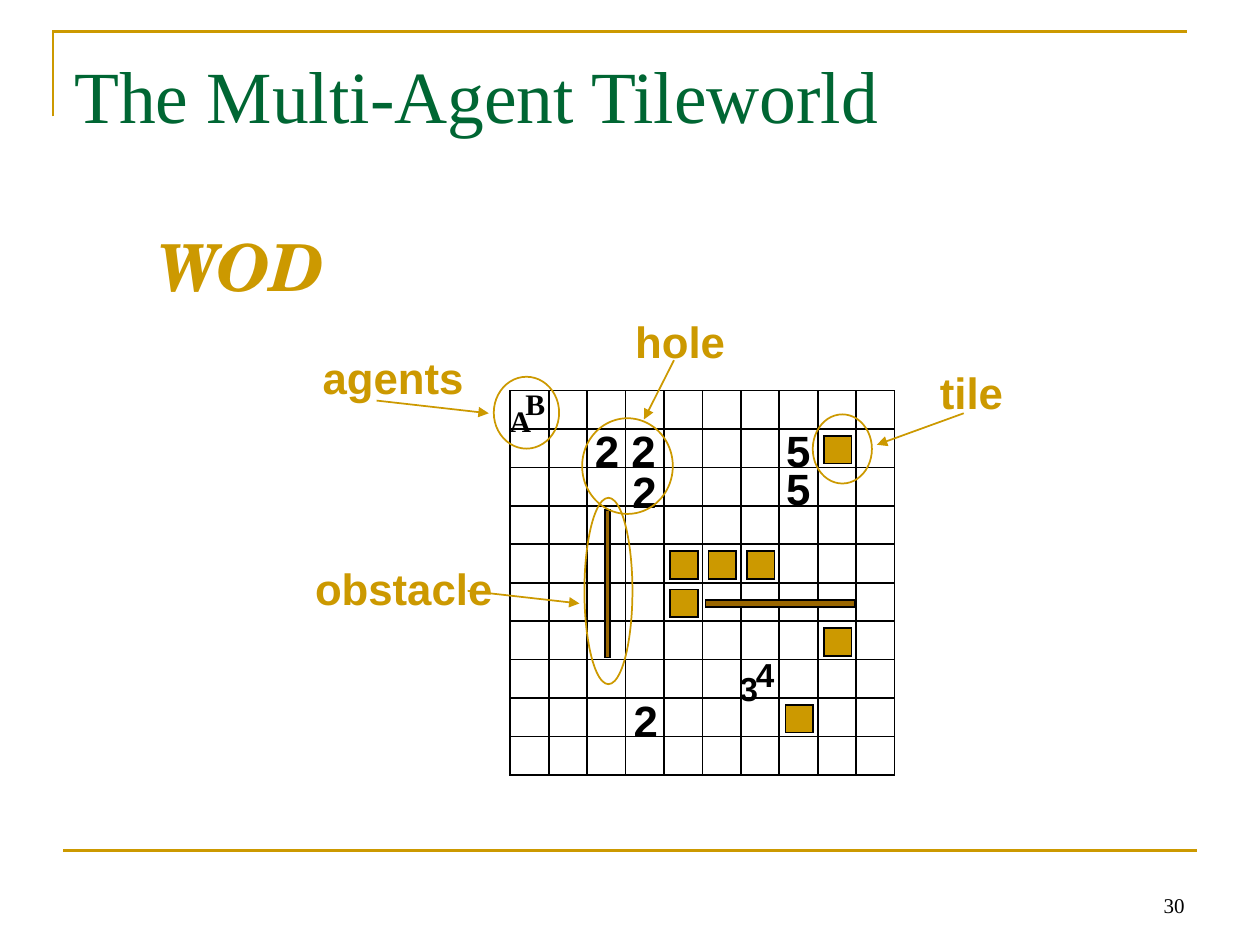
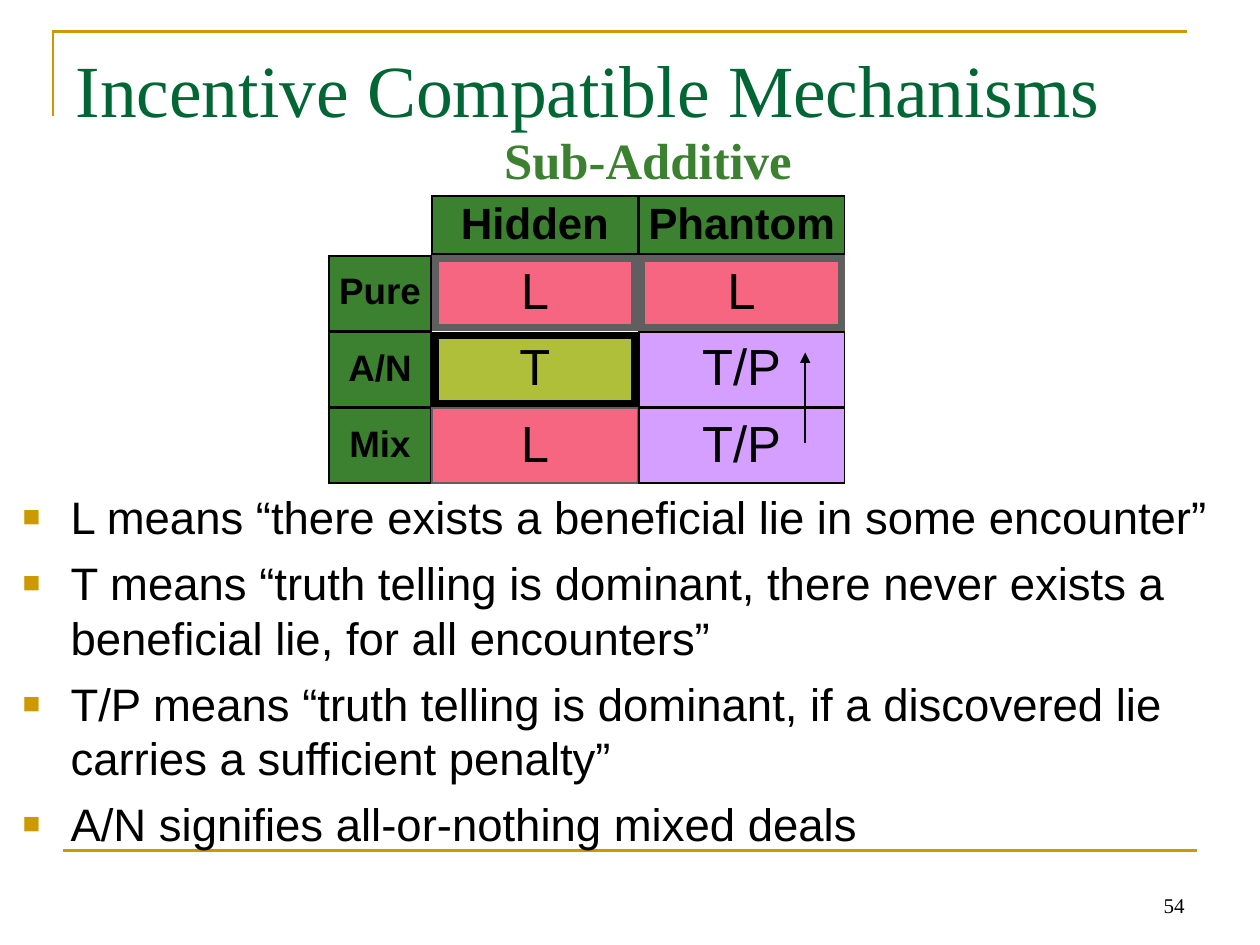
from dataclasses import dataclass

from lxml.etree import SubElement
from pptx import Presentation
from pptx.dml.color import RGBColor
from pptx.enum.shapes import MSO_CONNECTOR, MSO_SHAPE as Preset
from pptx.enum.text import MSO_ANCHOR as Anchor, MSO_AUTO_SIZE as AutoSize, PP_ALIGN as Align
from pptx.oxml.ns import qn
from pptx.util import Inches, Pt

GOLD = RGBColor(0xCC, 0x99, 0x00)
BROWN = RGBColor(0x99, 0x66, 0x00)
DARK_GREEN = RGBColor(0x00, 0x66, 0x33)
GREEN = RGBColor(0x3B, 0x81, 0x2F)
PINK = RGBColor(0xF7, 0x66, 0x81)
OLIVE = RGBColor(0xAF, 0xBF, 0x39)
LILAC = RGBColor(0xD4, 0x9F, 0xFF)
GRAY = RGBColor(0x5F, 0x5F, 0x5F)
BLACK = RGBColor(0x00, 0x00, 0x00)

SERIF, SANS, SCHOOL = "Times New Roman", "Arial", "TeX Gyre Schola"
WIDE, NARROW = (0.1, 0.05), (0.07, 0.03)


@dataclass
class Grid:
    """A box measured in columns and rows, sized in inches."""
    left: float
    top: float
    column: float
    row: float

    def point(self, x, y):
        return Inches(self.left + x * self.column), Inches(self.top + y * self.row)

    def area(self, x, y, width, height):
        return (*self.point(x, y), Inches(width * self.column), Inches(height * self.row))


PAGE = Grid(0, 0, 10, 7.5)  # one column and one row: shares of the slide
BOARD = Grid(4.05, 3.1, 0.305, 0.305)
MATRIX = Grid(2.61, 2.03, 0.82, 0.605)
BOARD_CELLS = 10


# Shared helpers
def style_frame(frame, margins, anchor=Anchor.TOP, wrap=True, fit=AutoSize.NONE):
    frame.margin_left = frame.margin_right = Inches(margins[0])
    frame.margin_top = frame.margin_bottom = Inches(margins[1])
    frame.vertical_anchor, frame.word_wrap, frame.auto_size = anchor, wrap, fit


def style_text(para, size, font, color, bold=False, italic=False, align=Align.LEFT):
    para.alignment = align
    for span in para.runs:
        span.font.size, span.font.name = Pt(size), font
        span.font.bold, span.font.italic = bold, italic
        span.font.color.rgb = color


def set_right_to_left(para):
    """Right-to-left paragraphs draw their digits in the complex-script font."""
    para._p.get_or_add_pPr().set("rtl", "1")
    for span in para.runs:
        SubElement(span.font._element, qn("a:cs")).set("typeface", SANS)


def add_label(page, area, text, size, font, color, spacing=None, margins=NARROW, italic=False):
    box = page.shapes.add_textbox(*area)
    style_frame(box.text_frame, margins, wrap=False, fit=AutoSize.SHAPE_TO_FIT_TEXT)
    box.text_frame.text = text
    para = box.text_frame.paragraphs[0]
    style_text(para, size, font, color, bold=True, italic=italic)
    if spacing:
        para.line_spacing = spacing
    set_right_to_left(para)


def style_shape(shape, fill, line, width):
    shape.shadow.inherit = False
    if fill is None:
        shape.fill.background()
    else:
        shape.fill.solid()
        shape.fill.fore_color.rgb = fill
    shape.line.color.rgb, shape.line.width = line, Pt(width)
    # Square corners on the outline
    outline = shape._element.spPr.find(qn("a:ln"))
    SubElement(outline, qn("a:miter")).set("lim", "800000")
    return shape


def add_preset(page, preset, area, fill=None, line=BLACK, width=1):
    return style_shape(page.shapes.add_shape(preset, *area), fill, line, width)


def add_line(page, start, end, color=BLACK, width=1, arrow=False):
    line = page.shapes.add_connector(MSO_CONNECTOR.STRAIGHT, *start, *end)
    line.line.color.rgb, line.line.width = color, Pt(width)
    properties = line._element.spPr
    if arrow:
        SubElement(properties.find(qn("a:ln")), qn("a:tailEnd")).set("type", "triangle")
    SubElement(properties, qn("a:effectLst"))
    return line


# Parts every slide shares
def add_master_frame(deck, page):
    """Draw the corner and the footer rule, then hand them to the master."""
    builder = page.shapes.build_freeform(*PAGE.point(0.042, 0.123), scale=1.0)
    builder.add_line_segments(
        [PAGE.point(0.042, 0.033), PAGE.point(0.942, 0.033)], close=False)
    corner = style_shape(builder.convert_to_shape(), None, GOLD, 1.5)
    rule = add_line(page, PAGE.point(0.05, 0.9), PAGE.point(0.95, 0.9), GOLD, 1.5)
    for part in (corner, rule):
        deck.slide_master.shapes.element.append(part._element)


def place(placeholder, area):
    placeholder.left, placeholder.top, placeholder.width, placeholder.height = area


def add_title(page, text, area, margins, anchor):
    title = page.shapes.title
    place(title, area)
    title.text_frame.text = text
    style_frame(title.text_frame, margins, anchor)
    style_text(title.text_frame.paragraphs[0], 42, SERIF, DARK_GREEN)


def add_page_number(page, number):
    box = page.shapes.add_textbox(*PAGE.area(0.717, 0.911, 0.233, 0.067))
    style_frame(box.text_frame, WIDE, Anchor.BOTTOM)
    box.text_frame.text = str(number)
    style_text(box.text_frame.paragraphs[0], 12, SERIF, BLACK, align=Align.RIGHT)


# Tileworld slide
def add_board(page, grid):
    add_preset(page, Preset.RECTANGLE, grid.area(0, 0, BOARD_CELLS, BOARD_CELLS))
    for step in range(1, BOARD_CELLS):
        add_line(page, grid.point(0, step), grid.point(BOARD_CELLS, step))
        add_line(page, grid.point(step, 0), grid.point(step, BOARD_CELLS))

    # Tiles, by column and row, then obstacles
    for column, row in [(4, 5), (4, 4), (5, 4), (6, 4), (7, 8), (8, 6), (8, 1)]:
        area = grid.area(column + 0.16, row + 0.18, 0.72, 0.72)
        add_preset(page, Preset.RECTANGLE, area, GOLD)
    for area in [(5.08, 5.44, 3.9, 0.2), (2.46, 3.11, 0.13, 3.84)]:
        add_preset(page, Preset.RECTANGLE, grid.area(*area), BROWN)

    # Hole depths, then small marks sharing a cell
    for text, x, y in [("2", 1.97, 0.98), ("2", 2.92, 0.98), ("2", 2.95, 2.03),
                       ("2", 2.98, 8), ("5", 6.95, 0.98), ("5", 6.95, 1.97)]:
        add_label(page, grid.area(x, y, 1.11, 1.34), text, 25, SERIF, BLACK, 0.85)
    for text, x, y, size in [("3", 5.74, 7.25, 19), ("4", 6.16, 6.89, 19),
                             ("A", -0.23, 0.33, 17), ("B", 0.16, -0.1, 17)]:
        add_label(page, grid.area(x, y, 1, 1.05), text, size, SERIF, BLACK, 0.88)


def add_callouts(page, grid):
    # Each: word, its area, the ring, the arrow's two ends
    callouts = [
        ("tile", (10.95, -0.52, 2.13, 1.34), (7.87, 0.62, 1.54, 1.8),
         (11.8, 0.59), (9.54, 1.41)),
        ("hole", (3.02, -1.87, 2.82, 1.34), (1.87, 0.72, 2.36, 2.49),
         (4.26, -0.79), (3.48, 0.75)),
        ("obstacle", (-5.31, 4.56, 5.08, 1.34), (1.93, 2.79, 1.25, 4.85),
         (-1.11, 5.21), (1.8, 5.54)),
        ("agents", (-5.11, -0.92, 4.13, 1.34), (-0.43, -0.36, 1.7, 1.87),
         (-3.48, 0.26), (-0.56, 0.59)),
    ]
    for word, area, ring, start, end in callouts:
        add_label(page, grid.area(*area), word, 25, SANS, GOLD, 0.85)
        add_preset(page, Preset.OVAL, grid.area(*ring), line=GOLD)
        add_line(page, grid.point(*start), grid.point(*end), GOLD, arrow=True)


def build_tileworld(page):
    add_title(page, "The Multi-Agent Tileworld", PAGE.area(0.05, 0.044, 0.791, 0.111),
              (0.09, 0.04), Anchor.MIDDLE)
    add_board(page, BOARD)
    add_callouts(page, BOARD)
    add_label(page, PAGE.area(0.116, 0.233, 0.155, 0.096), "WOD", 37, SCHOOL, GOLD,
              margins=WIDE, italic=True)
    add_page_number(page, 30)


# Mechanisms slide
def add_cell(page, grid, text, column, row, span, fill, size=29, line=BLACK,
             thick=False, height=1.0):
    inset_x, inset_y = (0.03, 0.04) if thick else (0, 0)
    area = grid.area(column + inset_x, row + inset_y,
                     span - 0.01 - 2 * inset_x, height - 0.02 - 2 * inset_y)
    cell = add_preset(page, Preset.RECTANGLE, area, fill, line, 4 if thick else 1)
    style_frame(cell.text_frame, (0.05, 0.03), Anchor.MIDDLE)
    cell.text_frame.text = text
    para = cell.text_frame.paragraphs[0]
    style_text(para, size, SANS, BLACK, bold=fill == GREEN, align=Align.CENTER)
    para.line_spacing = 0.9
    set_right_to_left(para)


def add_matrix(page, grid):
    add_label(page, grid.area(1.61, -1.59, 2.96, 0.78), "Sub-Additive", 29, SERIF, GREEN, 0.85)
    for column, text in [(1, "Hidden"), (3, "Phantom")]:
        add_cell(page, grid, text, column, -0.78, 2, GREEN, 25, height=0.78)
    # Each value: text, fill, line colour, thick border
    rows = [
        ("Pure", [("L", PINK, GRAY, True), ("L", PINK, GRAY, True)]),
        ("A/N", [("T", OLIVE, BLACK, True), ("T/P", LILAC, BLACK, False)]),
        ("Mix", [("L", PINK, GRAY, False), ("T/P", LILAC, BLACK, False)]),
    ]
    for row, (heading, values) in enumerate(rows):
        add_cell(page, grid, heading, 0, row, 1, GREEN, 21)
        for index, (text, fill, line, thick) in enumerate(values):
            add_cell(page, grid, text, 1 + 2 * index, row, 2, fill, line=line, thick=thick)
    add_line(page, grid.point(4.61, 2.46), grid.point(4.61, 1.27), arrow=True)


def add_bullet(para):
    properties = para._p.get_or_add_pPr()
    properties.set("marL", str(Inches(0.38)))
    properties.set("indent", str(Inches(-0.38)))
    SubElement(SubElement(properties, qn("a:buClr")), qn("a:srgbClr")).set("val", str(GOLD))
    for tag, name, value in [("a:buSzPct", "val", "65000"), ("a:buFont", "typeface", SANS),
                             ("a:buChar", "char", "■")]:
        SubElement(properties, qn(tag)).set(name, value)


def add_legend(page, area):
    meanings = [
        "L means “there exists a beneficial lie in some encounter”",
        "T means “truth telling is dominant, there never exists a beneficial lie, "
        "for all encounters”",
        "T/P means “truth telling is dominant, if a discovered lie carries a "
        "sufficient penalty”",
        "A/N signifies all-or-nothing mixed deals",
    ]
    body = page.placeholders[1]
    place(body, area)
    style_frame(body.text_frame, WIDE)
    body.text_frame.text = "\n".join(meanings)
    for para in body.text_frame.paragraphs:
        style_text(para, 26, SANS, BLACK)
        para.line_spacing, para.space_before = 1.0, Pt(6.5)
        add_bullet(para)


def build_mechanisms(page):
    add_title(page, "Incentive Compatible Mechanisms", PAGE.area(0.05, 0.04, 0.9, 0.167),
              WIDE, Anchor.TOP)
    add_legend(page, PAGE.area(0.008, 0.511, 0.983, 0.411))
    add_matrix(page, MATRIX)
    add_page_number(page, 54)


def main():
    deck = Presentation()
    deck.slide_width, deck.slide_height = Inches(PAGE.column), Inches(PAGE.row)
    tileworld = deck.slides.add_slide(deck.slide_layouts.get_by_name("Title Only"))
    mechanisms = deck.slides.add_slide(deck.slide_layouts.get_by_name("Title and Content"))
    add_master_frame(deck, tileworld)
    build_tileworld(tileworld)
    build_mechanisms(mechanisms)
    deck.save("out.pptx")


if __name__ == "__main__":
    main()
